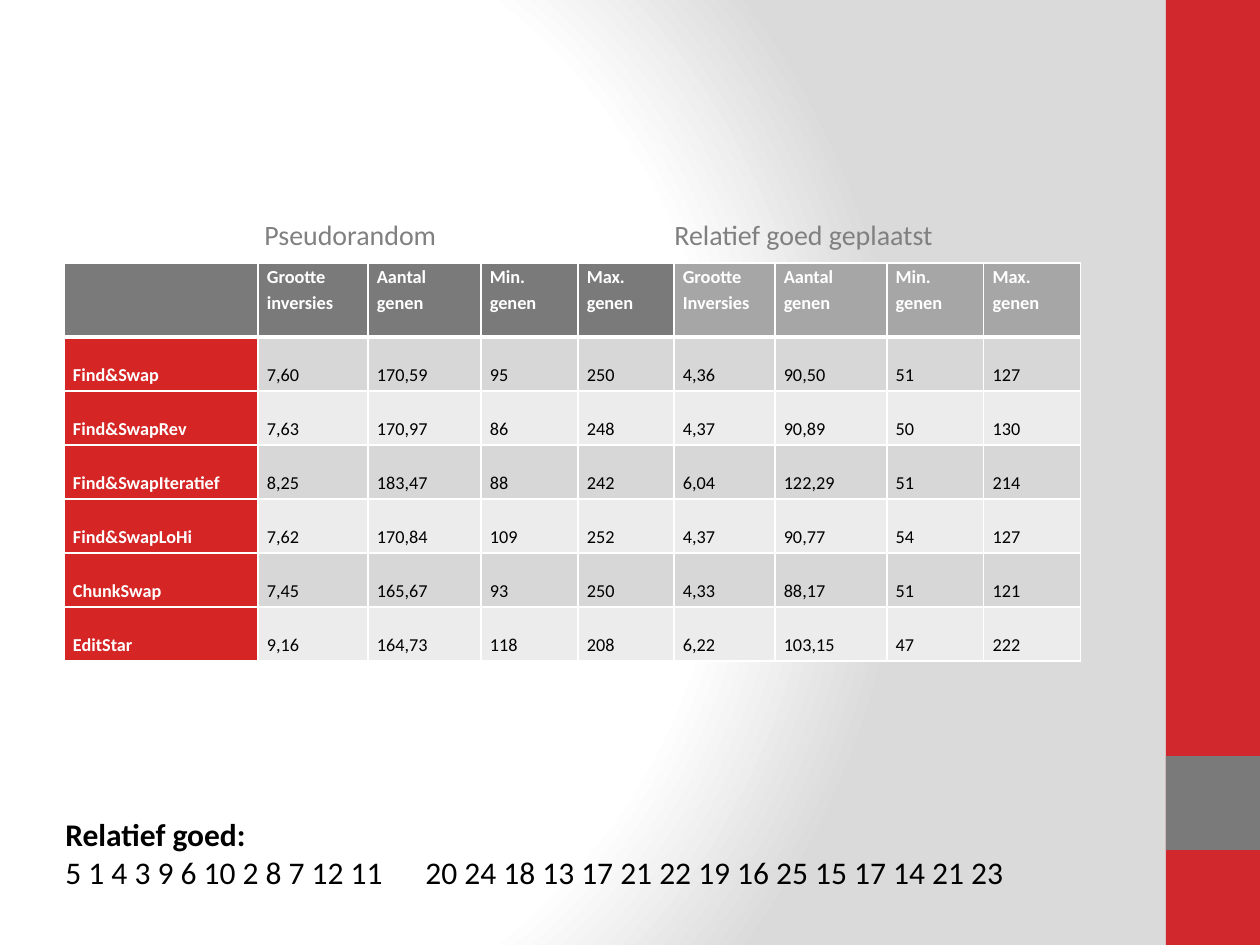
import pptx
import pptx.util
import pptx.oxml
import pptx.oxml.ns
import pptx.dml.color
import pptx.enum.shapes

PX = 914400 // 126
HEX = {"red": "D1282E", "gray": "7A7A7A", "light": "A6A6A6", "name": "D52525",
       "odd": "D7D7D7", "even": "ECECEC", "white": "FFFFFF", "black": "000000",
       "label": "808080", "edge": "DADADA"}
NS = pptx.oxml.ns.nsdecls("a", "p")

COLS = [194, 110, 113, 97, 96, 101, 112, 97, 97]
ROWS = [74] + [54] * 6
HEAD = ["", "Grootte\ninversies", "Aantal genen", "Min. genen", "Max. genen",
        "Grootte\nInversies", "Aantal genen", "Min. genen", "Max. genen"]
DATA = [
    ["Find&Swap", "7,60", "170,59", "95", "250", "4,36", "90,50", "51", "127"],
    ["Find&SwapRev", "7,63", "170,97", "86", "248", "4,37", "90,89", "50", "130"],
    ["Find&SwapIteratief", "8,25", "183,47", "88", "242", "6,04", "122,29", "51", "214"],
    ["Find&SwapLoHi", "7,62", "170,84", "109", "252", "4,37", "90,77", "54", "127"],
    ["ChunkSwap", "7,45", "165,67", "93", "250", "4,33", "88,17", "51", "121"],
    ["EditStar", "9,16", "164,73", "118", "208", "6,22", "103,15", "47", "222"],
]


def px(*nums):
    return [pptx.util.Emu(n * PX) for n in nums]


def color(name):
    return pptx.dml.color.RGBColor.from_string(HEX[name])


def paint(fill, name):
    fill.solid()
    fill.fore_color.rgb = color(name)


def style(par, size, name, bold=False):
    form = {"name": "Calibri", "size": pptx.util.Pt(size), "bold": bold}
    for run in par.runs:
        for key, val in form.items():
            setattr(run.font, key, val)
        run.font.color.rgb = color(name)


def back(slide):
    stops = "".join(
        f'<a:gs pos="{pos}"><a:srgbClr val="{HEX[name]}"/></a:gs>'
        for pos, name in [(0, "white"), (75000, "white"), (100000, "edge")])
    slide.element.cSld.insert(0, pptx.oxml.parse_xml(
        f'<p:bg {NS}><p:bgPr><a:gradFill rotWithShape="1"><a:gsLst>{stops}</a:gsLst>'
        '<a:path path="circle"><a:fillToRect l="20000" t="50000" r="100000" b="50000"/>'
        '</a:path></a:gradFill><a:effectLst/></p:bgPr></p:bg>'))


def block(slide, box, name):
    rect = slide.shapes.add_shape(pptx.enum.shapes.MSO_SHAPE.RECTANGLE, *px(*box))
    rect.shadow.inherit = False
    paint(rect.fill, name)
    rect.line.fill.background()


def edges(cell, top, base):
    props = cell._tc.get_or_add_tcPr()
    sides = {"lnL": 1, "lnR": 1, "lnT": top, "lnB": base}
    for i, (tag, wide) in enumerate(sides.items()):
        props.insert(i, pptx.oxml.parse_xml(
            f'<a:{tag} {NS} w="{wide * 12700}"><a:solidFill>'
            f'<a:srgbClr val="{HEX["white"]}"/></a:solidFill></a:{tag}>'))


def look(row, col):
    if row == 0:
        return ("gray" if col < 5 else "light"), "white"
    if col == 0:
        return "name", "white"
    return ("odd" if row % 2 else "even"), "black"


def put(cell, text, row, col):
    shade, ink = look(row, col)
    form = {"margin_left": px(9)[0], "margin_right": px(9)[0],
            "margin_top": 0, "margin_bottom": 0, "text": text}
    for key, val in form.items():
        setattr(cell, key, val)
    for par in cell.text_frame.paragraphs:
        par.line_spacing = 1.15
        style(par, 18 if row else 10.5, ink, ink == "white")
        if row:
            for run in par.runs:
                run.font._element.set("baseline", "-25000")
    paint(cell.fill, shade)
    edges(cell, 3 if row == 1 else 1, 3 if row == 0 else 1)


def table(slide):
    box = px(64, 263, sum(COLS), sum(ROWS))
    grid = slide.shapes.add_table(len(ROWS), len(COLS), *box).table
    for col, wide in zip(grid.columns, COLS):
        col.width = px(wide)[0]
    for row, tall in zip(grid.rows, ROWS):
        row.height = px(tall)[0]
    for r, line in enumerate([HEAD] + DATA):
        for c, text in enumerate(line):
            put(grid.cell(r, c), text, r, c)


def note(slide, box, lines, size, ink, tab):
    frame = slide.shapes.add_textbox(*px(*box)).text_frame
    frame.word_wrap = False
    frame.text = "\n".join(text for text, bold in lines)
    for par, (text, bold) in zip(frame.paragraphs, lines):
        style(par, size, ink, bold)
        par._p.get_or_add_pPr().append(pptx.oxml.parse_xml(
            f'<a:tabLst {NS}><a:tab pos="{tab * PX}" algn="l"/></a:tabLst>'))


def main():
    deck = pptx.Presentation()
    deck.slide_width, deck.slide_height = px(1260, 945)
    slide = deck.slides.add_slide(deck.slide_layouts[6])
    back(slide)
    block(slide, (1166, 0, 94, 945), "red")
    block(slide, (1166, 756, 94, 94), "gray")
    table(slide)
    note(slide, (252, 211, 700, 47),
         [("Pseudorandom\tRelatief goed geplaatst", False)], 16, "label", 410)
    note(slide, (53, 809, 976, 89),
         [("Relatief goed:", True),
          ("5 1 4 3 9 6 10 2 8 7 12 11\t20 24 18 13 17 21 22 19 16 25 15 17 14 21 23", False)],
         18, "black", 360)
    deck.save("out.pptx")


if __name__ == "__main__":
    main()
